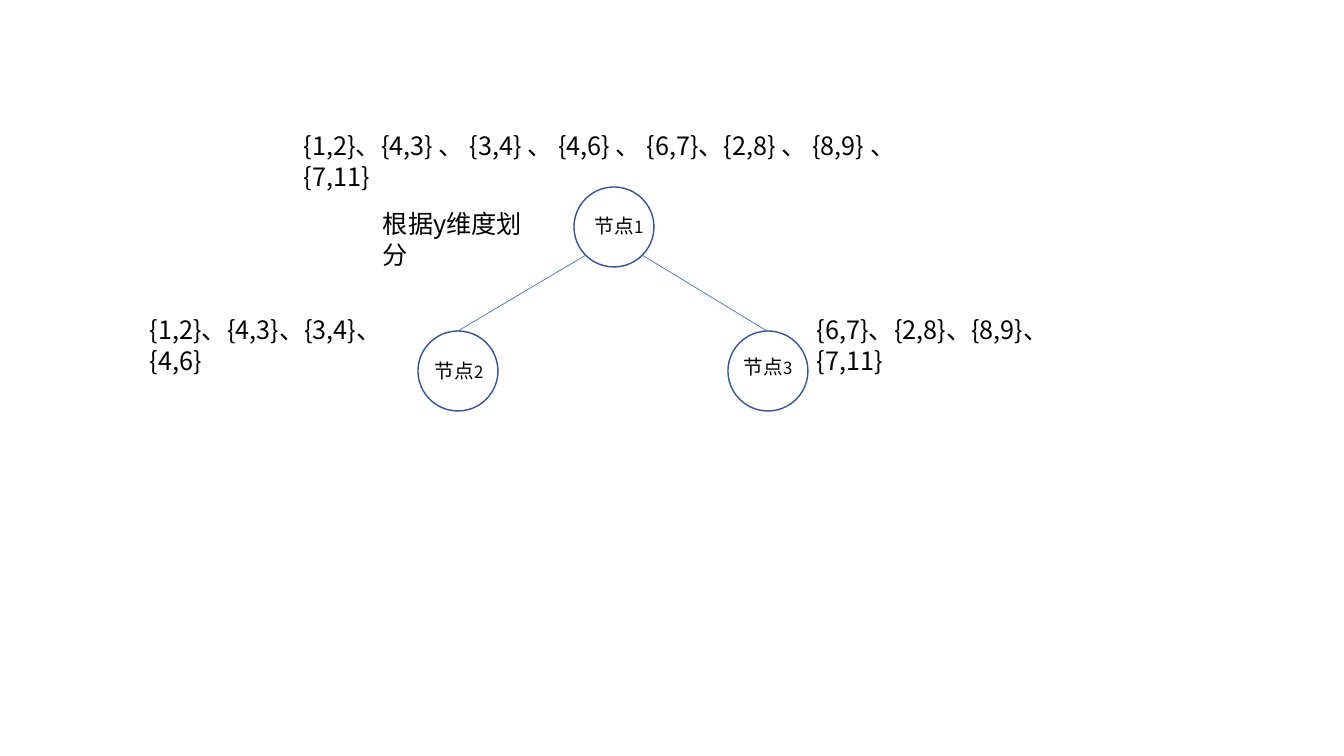
from lxml.etree import SubElement
from pptx import Presentation
from pptx.dml.color import RGBColor
from pptx.enum.shapes import MSO_CONNECTOR, MSO_SHAPE
from pptx.oxml.ns import qn
from pptx.util import Emu, Pt

SCALE = 914400 / 100.8
FONT = "Noto Sans CJK SC"
BLACK = RGBColor(0x00, 0x00, 0x00)
NAVY = RGBColor(0x32, 0x54, 0x91)
BLUE = RGBColor(0x44, 0x72, 0xC4)
SIDE = 80


def px(*sizes):
    """Turn pixels into EMU."""
    return [Emu(round(size * SCALE)) for size in sizes]


def add_text(slide, box, parts, lead=None):
    """Write one paragraph of (text, size) parts in a box."""
    frame = slide.shapes.add_textbox(*px(*box)).text_frame
    frame.word_wrap = True
    para = frame.paragraphs[0]
    para.font.name = FONT
    para.font.color.rgb = BLACK
    if lead:
        para.line_spacing = Pt(lead)
    for text, size in parts:
        run = para.add_run()
        run.text = text
        run.font.size = Pt(size)
        run.font.name = FONT
        SubElement(run._r.get_or_add_rPr(), qn("a:ea"), typeface=FONT)


def add_node(slide, box, number, shift):
    """Draw a round node with its numbered label."""
    left, top, side = box
    ring = slide.shapes.add_shape(
        MSO_SHAPE.FLOWCHART_CONNECTOR, *px(left, top, side, side))
    ring.shadow.inherit = False
    ring.fill.background()
    ring.line.color.rgb = NAVY
    ring.line.width = Pt(1)
    right, down = shift
    add_text(slide, (left + right, top + down, 85, 34),
             [("节点", 14), (str(number), 12)])


def add_edge(slide, ends):
    """Draw a thin line between two nodes."""
    edge = slide.shapes.add_connector(MSO_CONNECTOR.STRAIGHT, *px(*ends))
    edge.line.color.rgb = BLUE
    edge.line.width = Pt(0.5)
    SubElement(edge._element.spPr, qn("a:effectLst"))


def add_tree(slide, box):
    """Place the nodes, edges and point lists of the tree."""
    left, top, width, height = box
    nodes = [(434, 61, (11, 22)), (278, 205, (7, 23)), (588, 205, (6, 19))]
    for number, (x, y, shift) in enumerate(nodes, 1):
        add_node(slide, (left + x, top + y, SIDE), number, shift)
    for start, end in ((446, 318), (502, 627)):
        add_edge(slide, (left + start, top + 129, left + end, top + 205))
    notes = [
        (0, 184, 286, "{1,2}、{4,3}、{3,4}、{4,6}"),
        (154, 0, 668, "{1,2}、{4,3} 、 {3,4} 、 {4,6} 、 "
                      "{6,7}、{2,8} 、 {8,9} 、 {7,11}"),
        (667, 184, 299, "{6,7}、{2,8}、{8,9}、{7,11}"),
        (233, 78, 184, "根据y维度划分"),
    ]
    for x, y, wide, text in notes:
        add_text(slide, (left + x, top + y, wide, 40), [(text, 18)], 21.5)


deck = Presentation()
deck.slide_width, deck.slide_height = px(1344, 756)
page = deck.slides.add_slide(deck.slide_layouts[6])
add_tree(page, (140, 126, 967, 285))
deck.save("out.pptx")
